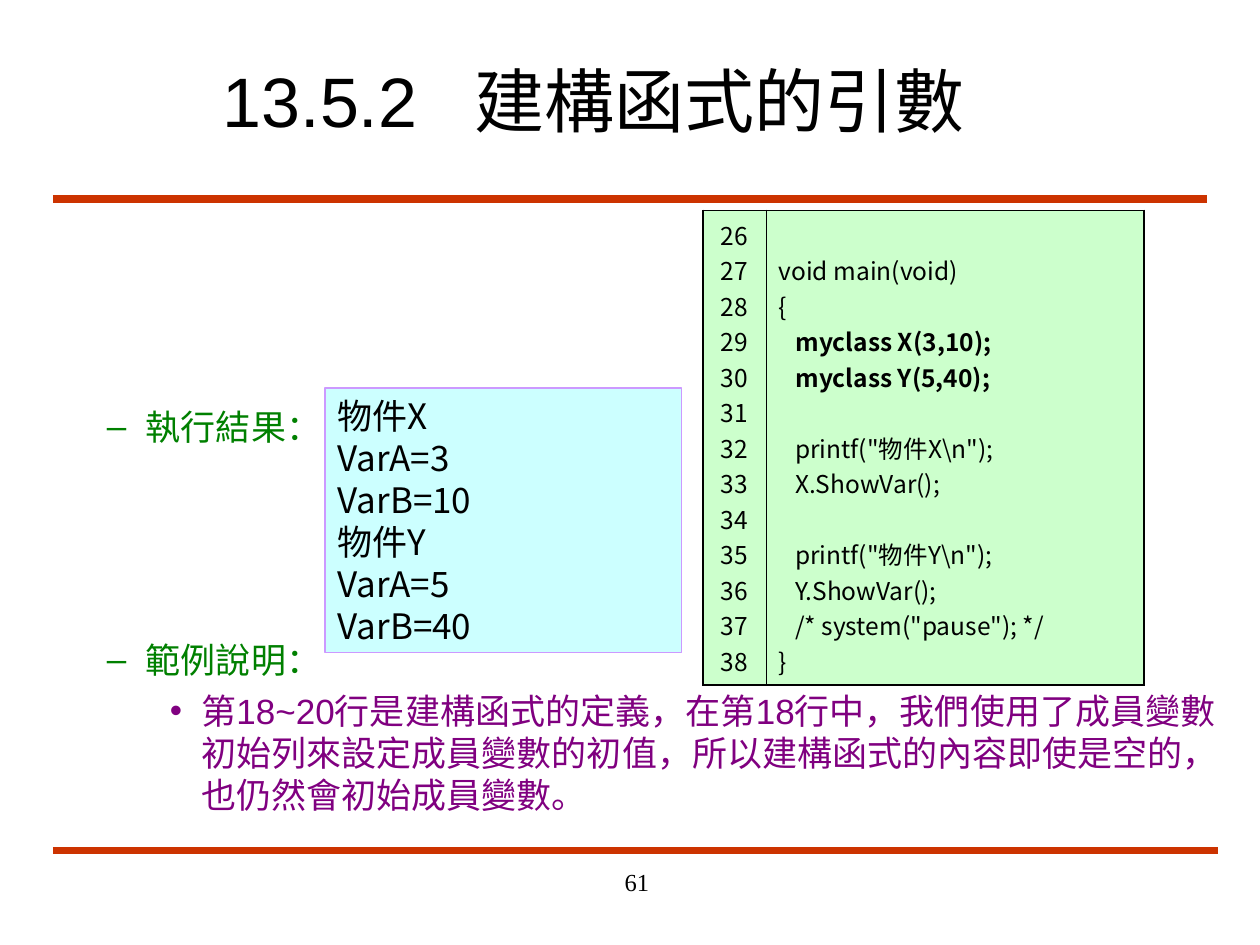
from dataclasses import dataclass

from lxml.etree import SubElement
from pptx import Presentation
from pptx.dml.color import RGBColor as RGB
from pptx.enum.shapes import MSO_CONNECTOR as Connector, MSO_SHAPE as Shape
from pptx.enum.text import MSO_ANCHOR as Anchor, PP_ALIGN as Align
from pptx.oxml.ns import qn
from pptx.util import Inches, Pt


@dataclass(frozen=True)
class Theme:
    ink: str = "000000"
    rule: str = "CC3300"
    heading: str = "008000"
    detail: str = "800080"
    code_fill: str = "CCFFCC"
    output_fill: str = "CCFFFF"
    output_line: str = "CC99FF"
    sans: str = "Arial"
    cjk: str = "Noto Sans CJK TC"
    serif: str = "Times New Roman"
    title_size: int = 40
    body_size: int = 20
    small_size: int = 14
    body_pitch: int = 24
    code_pitch: float = 20.3


class SlideBuilder:
    def __init__(self, slide, theme):
        self.slide = slide
        self.theme = theme

    def run(self, paragraph, text, size, font, color=None, bold=False):
        run = paragraph.add_run()
        run.text = text
        run.font.size = Pt(size)
        run.font.name = font
        run.font.bold = bold
        run.font.color.rgb = RGB.from_string(color or self.theme.ink)
        east_asian = SubElement(run.font._element, qn("a:ea"))
        east_asian.set("typeface", self.theme.cjk)

    def text_box(self, left, top, width, height, anchor=Anchor.TOP):
        box = self.slide.shapes.add_textbox(
            Inches(left), Inches(top), Inches(width), Inches(height))
        frame = box.text_frame
        frame.word_wrap = True
        frame.vertical_anchor = anchor
        return frame

    def rule(self, top, right):
        line = self.slide.shapes.add_connector(
            Connector.STRAIGHT, Inches(0.42), Inches(top), Inches(right), Inches(top))
        line.line.color.rgb = RGB.from_string(self.theme.rule)
        line.line.width = Pt(4.5)
        SubElement(line._element.spPr, qn("a:effectLst"))

    def title(self, number, name):
        paragraph = self.text_box(1.67, 0.33, 7.58, 0.92, Anchor.MIDDLE).paragraphs[0]
        tabs = SubElement(paragraph._p.get_or_add_pPr(), qn("a:tabLst"))
        SubElement(tabs, qn("a:tab"), pos=str(Inches(2)), algn="l")
        self.run(paragraph, f"{number}\t{name}", self.theme.title_size, self.theme.sans)

    def outline(self, items):
        """Each item is (text, bullet, colour, left margin, hanging, space before)."""
        frame = self.text_box(0.25, 3.17, 9.5, 3.42)
        for index, (text, bullet, color, margin, hanging, before) in enumerate(items):
            paragraph = frame.add_paragraph() if index else frame.paragraphs[0]
            properties = paragraph._p.get_or_add_pPr()
            properties.set("marL", str(Inches(margin)))
            properties.set("indent", str(-Inches(hanging)))
            bullet_color = SubElement(properties, qn("a:buClr"))
            SubElement(bullet_color, qn("a:srgbClr"), val=color)
            SubElement(properties, qn("a:buFont"), typeface=self.theme.sans)
            SubElement(properties, qn("a:buChar"), char=bullet)
            paragraph.line_spacing = Pt(self.theme.body_pitch)
            if before:
                paragraph.space_before = Pt(before)
            self.run(paragraph, text, self.theme.body_size, self.theme.sans, color)

    def output(self, lines):
        panel = self.slide.shapes.add_shape(
            Shape.RECTANGLE, Inches(2.58), Inches(3.08), Inches(2.83), Inches(2.1))
        panel.shadow.inherit = False
        panel.fill.solid()
        panel.fill.fore_color.rgb = RGB.from_string(self.theme.output_fill)
        panel.line.color.rgb = RGB.from_string(self.theme.output_line)
        panel.line.width = Pt(0.75)
        frame = panel.text_frame
        frame.word_wrap = True
        frame.vertical_anchor = Anchor.TOP
        for index, line in enumerate(lines):
            paragraph = frame.add_paragraph() if index else frame.paragraphs[0]
            paragraph.alignment = Align.LEFT
            paragraph.line_spacing = Pt(self.theme.body_pitch)
            self.run(paragraph, line, self.theme.body_size, self.theme.cjk)

    def borders(self, cell, **widths):
        properties = cell._tc.get_or_add_tcPr()
        for index, (side, width) in enumerate(widths.items()):
            edge = properties.makeelement(qn(f"a:ln{side}"), {"w": str(Pt(width))})
            fill = SubElement(edge, qn("a:solidFill"))
            SubElement(fill, qn("a:srgbClr"), val=self.theme.ink)
            properties.insert(index, edge)

    def code_cell(self, cell, lines, align, bold_prefix="myclass"):
        cell.fill.solid()
        cell.fill.fore_color.rgb = RGB.from_string(self.theme.code_fill)
        cell.vertical_anchor = Anchor.MIDDLE
        paragraph = cell.text_frame.paragraphs[0]
        paragraph.alignment = align
        paragraph.line_spacing = Pt(self.theme.code_pitch)
        for index, line in enumerate(lines):
            if index:
                paragraph.add_line_break()
            if line:
                bold = line.strip().startswith(bold_prefix)
                self.run(paragraph, line, self.theme.small_size, self.theme.cjk, bold=bold)

    def code_table(self, first_number, code):
        table = self.slide.shapes.add_table(
            1, 2, Inches(5.58), Inches(1.67), Inches(3.5), Inches(3.37)).table
        table.first_row = table.horz_banding = False
        for column, width in zip(table.columns, (0.5, 3)):
            column.width = Inches(width)
        numbers = [str(first_number + index) for index in range(len(code))]
        number_cell, source_cell = table.cell(0, 0), table.cell(0, 1)
        self.code_cell(number_cell, numbers, Align.CENTER)
        self.code_cell(source_cell, code, Align.LEFT)
        self.borders(number_cell, L=1.08, R=0.45, T=1.08, B=1.08)
        self.borders(source_cell, L=0.45, R=1.08, T=1.08, B=1.08)

    def page_number(self, number):
        paragraph = self.text_box(3.17, 6.83, 2.08, 0.5).paragraphs[0]
        paragraph.alignment = Align.RIGHT
        self.run(paragraph, number, self.theme.small_size, self.theme.serif)


CODE = r'''
void main(void)
{
   myclass X(3,10);
   myclass Y(5,40);

   printf("物件X\n");
   X.ShowVar();

   printf("物件Y\n");
   Y.ShowVar();
   /* system("pause"); */
}'''.split("\n")
OUTPUT = ["物件X", "VarA=3", "VarB=10", "物件Y", "VarA=5", "VarB=40"]
EXPLANATION = ("第18~20行是建構函式的定義，在第18行中，我們使用了成員變數初始列"
               "來設定成員變數的初值，所以建構函式的內容即使是空的，也仍然會初始成員變數。")


def main():
    deck = Presentation()
    deck.slide_width, deck.slide_height = Inches(10), Inches(7.5)
    theme = Theme()
    builder = SlideBuilder(deck.slides.add_slide(deck.slide_layouts[6]), theme)
    builder.rule(1.58, 9.58)
    builder.rule(6.75, 9.67)
    builder.title("13.5.2", "建構函式的引數")
    builder.outline([
        ("執行結果：", "–", theme.heading, 0.81, 0.31, 0),
        ("範例說明：", "–", theme.heading, 0.81, 0.31, 109),
        (EXPLANATION, "•", theme.detail, 1.25, 0.25, 5),
    ])
    builder.code_table(26, CODE)
    builder.output(OUTPUT)
    builder.page_number("61")
    deck.save("out.pptx")


if __name__ == "__main__":
    main()
